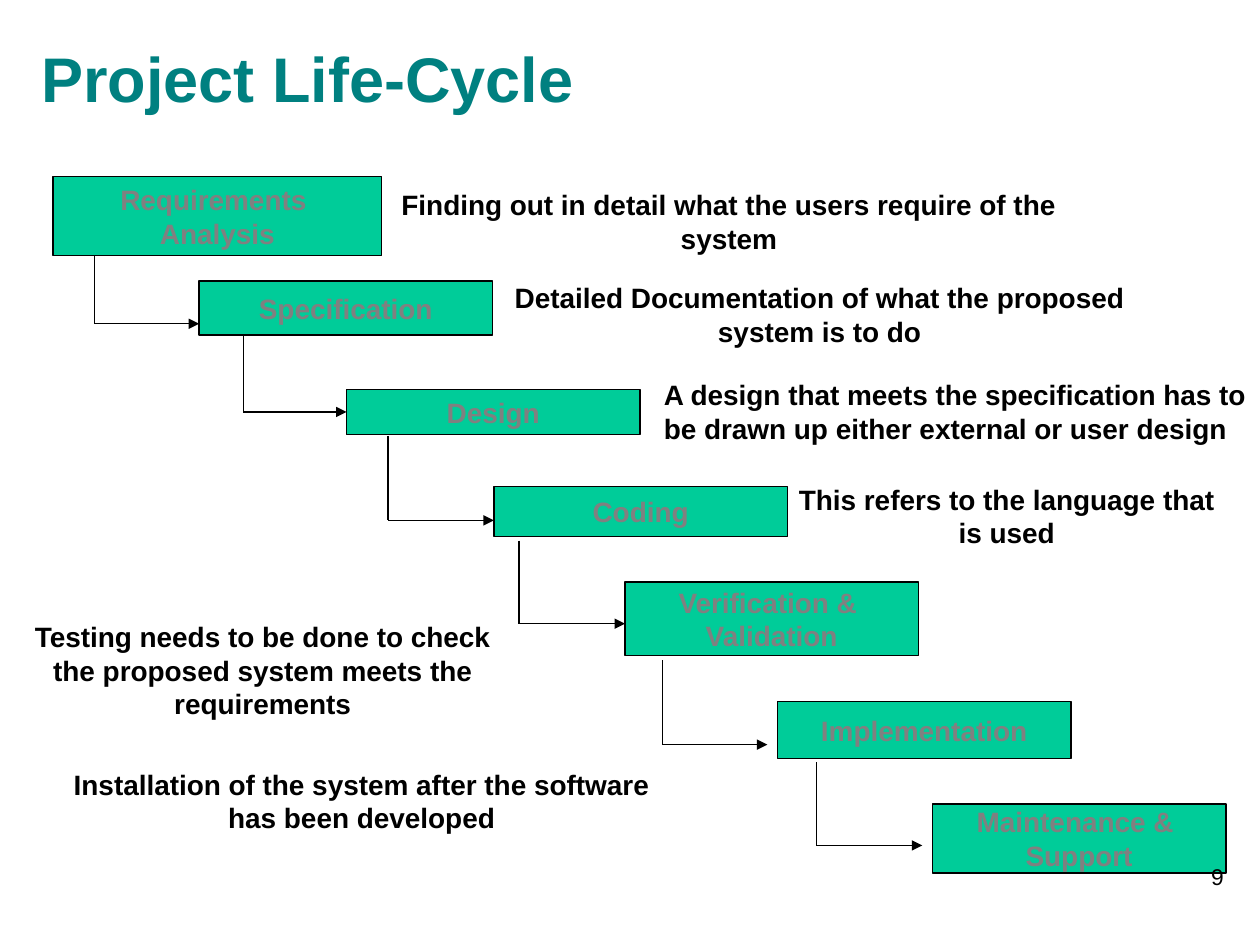
from collections import namedtuple

from lxml.etree import SubElement
from pptx import Presentation
from pptx.dml.color import RGBColor
from pptx.enum.shapes import MSO_CONNECTOR, MSO_SHAPE
from pptx.enum.text import MSO_ANCHOR, PP_ALIGN
from pptx.oxml.ns import qn
from pptx.util import Inches, Pt

TEAL = RGBColor(0x00, 0x80, 0x80)
GREEN = RGBColor(0x00, 0xCC, 0x99)
GREY = RGBColor(0x80, 0x80, 0x80)
BLACK = RGBColor(0x00, 0x00, 0x00)

COLUMNS, ROWS = 100, 75
CELL = Inches(10) // COLUMNS

Box = namedtuple("Box", "left top width height")
Turn = namedtuple("Turn", "x start y tip")

STAGES = [
    (["Requirements ", "Analysis"], Box(4.2, 14, 26.1, 6.3)),
    (["Specification"], Box(15.8, 22.3, 23.3, 4.3)),
    (["Design"], Box(27.5, 30.9, 23.3, 3.6)),
    (["Coding"], Box(39.2, 38.6, 23.3, 4)),
    (["Verification & ", "Validation"], Box(49.6, 46.2, 23.3, 5.8)),
    (["Implementation"], Box(61.7, 55.7, 23.3, 4.5)),
    (["Maintenance & ", "Support"], Box(74, 63.8, 23.3, 5.5)),
]
TURNS = [
    Turn(7.5, 20.3, 25.7, 15.8),
    Turn(19.3, 26.6, 32.7, 27.5),
    Turn(30.8, 34.6, 41.3, 39.2),
    Turn(41.2, 42.9, 49.5, 49.6),
    Turn(52.6, 52.4, 59.1, 60.9),
    Turn(64.8, 60.5, 67.1, 73.2),
]
NOTES = [
    ("Finding out in detail what the users require of the system",
     Box(27, 14.4, 61.7, 6.4), PP_ALIGN.CENTER),
    ("Detailed Documentation of what the proposed system is to do",
     Box(38.1, 21.8, 53.9, 6.4), PP_ALIGN.CENTER),
    ("A design that meets the specification has to be drawn up either "
     "external or user design", Box(51.7, 29.5, 48.3, 9), PP_ALIGN.LEFT),
    ("This refers to the language that is used",
     Box(62, 37.8, 35.8, 6.4), PP_ALIGN.CENTER),
    ("Testing needs to be done to check the proposed system meets the "
     "requirements", Box(0, 48.7, 41.7, 9), PP_ALIGN.CENTER),
    ("Installation of the system after the software has been developed",
     Box(3.3, 60.4, 50.8, 6.4), PP_ALIGN.CENTER),
]


def on_grid(*lengths):
    """Turn grid columns or rows into slide lengths."""
    return [round(length * CELL) for length in lengths]


def write(frame, lines, size, color, bold=True, align=PP_ALIGN.LEFT):
    """Write each line as one paragraph with one run."""
    for index, line in enumerate(lines):
        paragraph = frame.add_paragraph() if index else frame.paragraphs[0]
        paragraph.alignment = align
        run = paragraph.add_run()
        run.text = line
        run.font.name = "Arial"
        run.font.size = Pt(size)
        run.font.bold = bold
        run.font.color.rgb = color


def add_text(slide, box, text, size, color=BLACK, bold=True,
             align=PP_ALIGN.LEFT, anchor=MSO_ANCHOR.TOP):
    """Place a wrapped text in its box."""
    frame = slide.shapes.add_textbox(*on_grid(*box)).text_frame
    frame.word_wrap = True
    frame.vertical_anchor = anchor
    write(frame, [text], size, color, bold, align)


def add_stage(slide, box, lines):
    """Place one life-cycle stage and return its rectangle."""
    stage = slide.shapes.add_shape(MSO_SHAPE.RECTANGLE, *on_grid(*box))
    stage.shadow.inherit = False
    stage.fill.solid()
    stage.fill.fore_color.rgb = GREEN
    stage.line.color.rgb = BLACK
    stage.line.width = Pt(0.75)
    stage.text_frame.word_wrap = False
    stage.text_frame.vertical_anchor = MSO_ANCHOR.MIDDLE
    write(stage.text_frame, lines, 16, GREY, align=PP_ALIGN.CENTER)
    return stage


def add_line(slide, ends, arrow=False):
    """Draw a thin black line, with an arrowhead if asked."""
    line = slide.shapes.add_connector(MSO_CONNECTOR.STRAIGHT, *on_grid(*ends))
    line.line.color.rgb = BLACK
    line.line.width = Pt(0.75)
    if arrow:
        SubElement(line.line._get_or_add_ln(), qn("a:tailEnd"), type="triangle")
    SubElement(line._element.spPr, qn("a:effectLst"))
    return line


def add_turn(slide, turn, stage, box):
    """Lead down and then right to the next stage."""
    add_line(slide, (turn.x, turn.start, turn.x, turn.y))
    arrow = add_line(slide, (turn.x, turn.y, turn.tip, turn.y), arrow=True)
    middle = box.top + box.height / 2
    if turn.tip == box.left and abs(turn.y - middle) < 0.01:
        arrow.end_connect(stage, 1)


def add_cascade(slide):
    """Place the stages, the arrows between them and their notes."""
    stages = [add_stage(slide, box, lines) for lines, box in STAGES]
    for turn, stage, (_, box) in zip(TURNS, stages[1:], STAGES[1:]):
        add_turn(slide, turn, stage, box)
    for text, box, align in NOTES:
        add_text(slide, box, text, 16, align=align)


def main():
    """Build and save the slide."""
    deck = Presentation()
    deck.slide_width, deck.slide_height = on_grid(COLUMNS, ROWS)
    slide = deck.slides.add_slide(deck.slide_layouts[6])
    add_text(slide, Box(2.3, 1.5, 80.3, 9.3), "Project Life-Cycle", 36,
             TEAL, anchor=MSO_ANCHOR.MIDDLE)
    add_cascade(slide)
    add_text(slide, Box(77.3, 68, 20.8, 5), "9", 13, bold=False,
             align=PP_ALIGN.RIGHT)
    deck.save("out.pptx")


if __name__ == "__main__":
    main()
